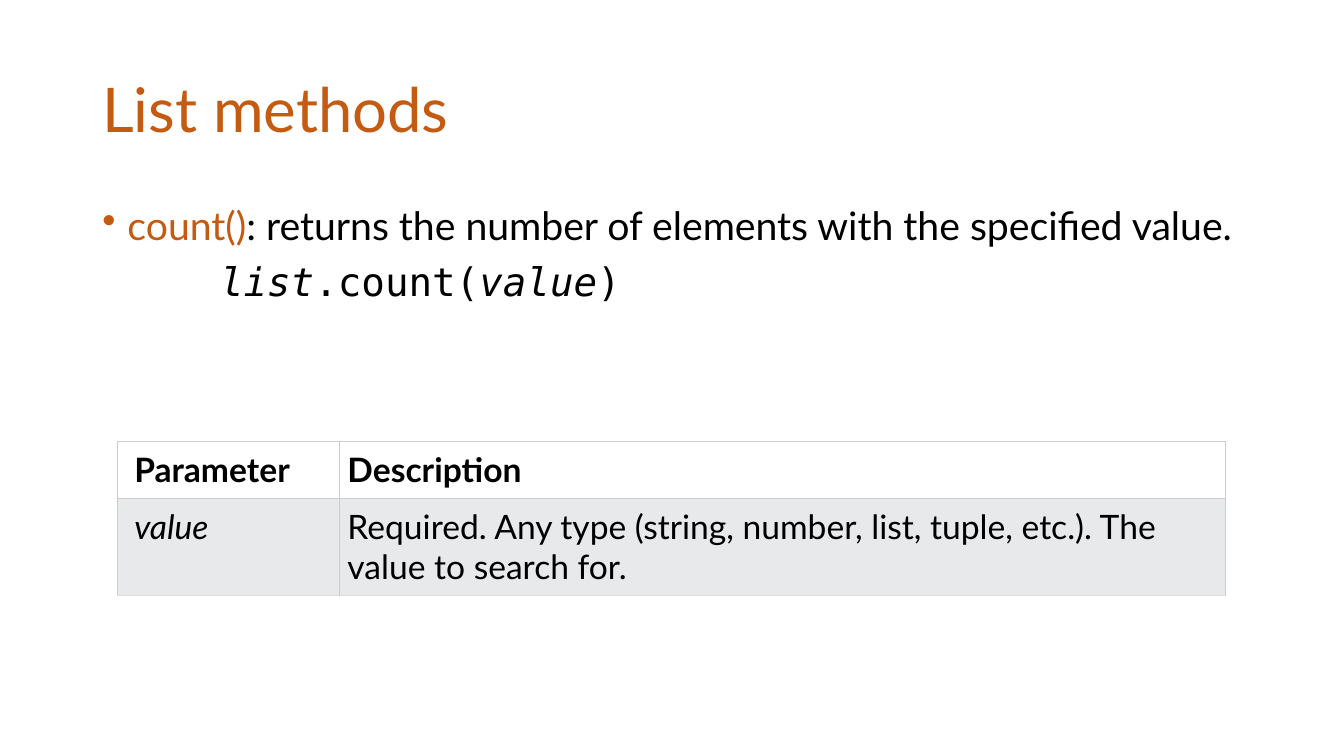
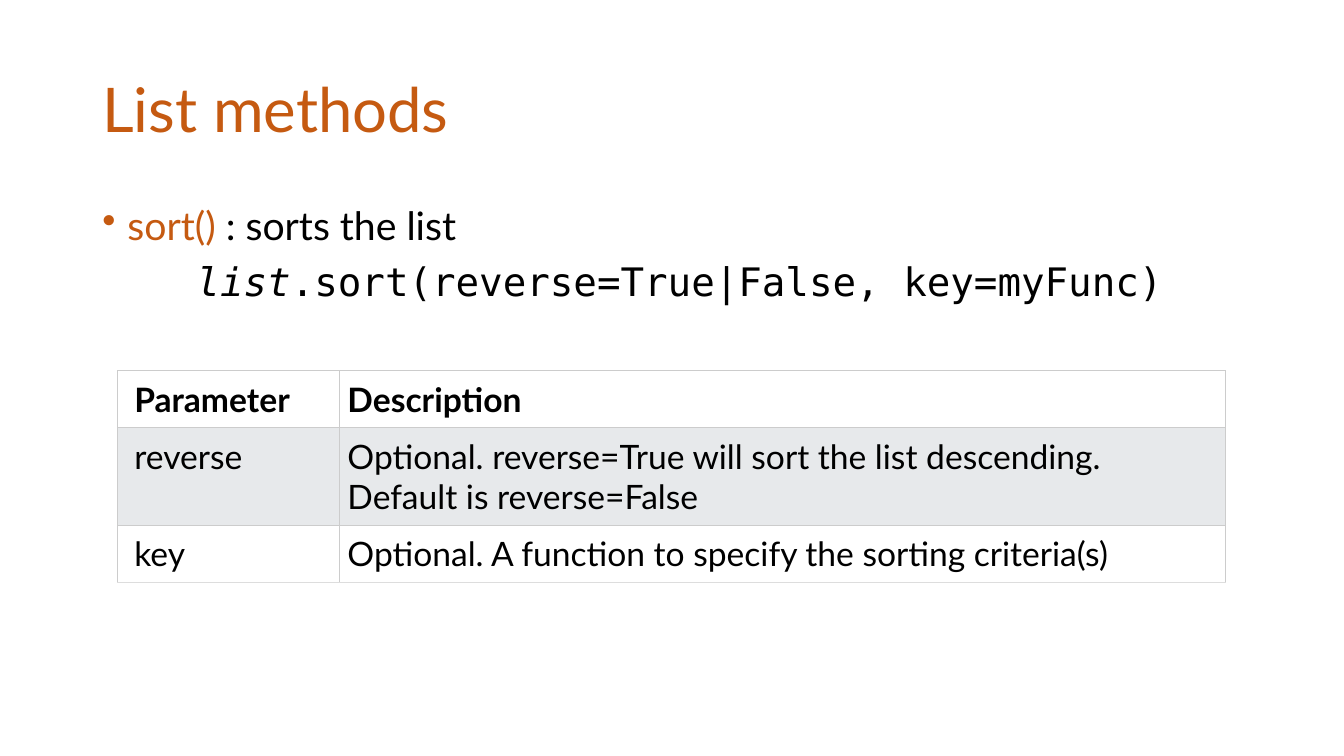
from lxml import etree
from pptx import Presentation
from pptx.dml.color import RGBColor
from pptx.enum.text import MSO_ANCHOR
from pptx.oxml.ns import qn
from pptx.util import Emu, Pt

MIDDLE, TOP = MSO_ANCHOR.MIDDLE, MSO_ANCHOR.TOP
PX = 9525  # EMU per px, 96 px to the inch
SLIDE_SIZE = (1280, 720)

TEXT_FONT, CODE_FONT = "Lato", "DejaVu Sans Mono"
ACCENT, BLACK, WHITE, BAND = "C55A11", "000000", "FFFFFF", "E7E9EB"
GRID, GRID_END = "CCCCCC", "DDDDDD"
TITLE_SIZE, BODY_SIZE, TABLE_SIZE = 44, 28, 24

TITLE = "List methods"
TITLE_BOX = (88, 38, 1104, 139)
BODY_BOX = (88, 192, 1104, 457)
BULLET_INDENT = 24
TABLE_LEFT = 112
COLUMN_WIDTHS = (211, 844)
CELL_MARGIN, FIRST_COLUMN_MARGIN = 8, 16
TABLE_LINE = 38
HEADER = ("Parameter", "Description")

# Code is a list of (text, italic); a parameter is (name, italic, description, lines).
SLIDES = [
    {
        "method": "count()",
        "meaning": ": returns the number of elements with the specified value.",
        "code": [("     list", True), (".count(", False), ("value", True), (")", False)],
        "table_top": 420,
        "parameters": [
            ("value", True, "Required. Any type (string, number, list, tuple, etc.). "
             "The value to search for.", 2),
        ],
    },
    {
        "method": "sort() ",
        "meaning": ": sorts the list",
        "code": [("    list", True), (".sort(reverse=True|False, key=myFunc)", False)],
        "table_top": 353,
        "parameters": [
            ("reverse", False, "Optional. reverse=True will sort the list descending. "
             "Default is reverse=False", 2),
            ("key", False, "Optional. A function to specify the sorting criteria(s)", 1),
        ],
    },
]


def px(length):
    return Emu(length * PX)


def color(value):
    return RGBColor.from_string(value)


def add_run(paragraph, text, size, fill=BLACK, font=TEXT_FONT, bold=False, italic=False):
    run = paragraph.add_run()
    run.text = text
    run.font.name = font
    run.font.size = Pt(size)
    run.font.bold = bold
    run.font.italic = italic
    run.font.color.rgb = color(fill)


def add_text_frame(slide, box, anchor):
    text_frame = slide.shapes.add_textbox(*map(px, box)).text_frame
    text_frame.word_wrap = True
    text_frame.vertical_anchor = anchor
    return text_frame


def add_title(slide):
    paragraph = add_text_frame(slide, TITLE_BOX, MIDDLE).paragraphs[0]
    paragraph.line_spacing = 0.9
    add_run(paragraph, TITLE, TITLE_SIZE, ACCENT)


def set_bullet(paragraph):
    properties = paragraph._p.get_or_add_pPr()
    properties.set("marL", str(px(BULLET_INDENT)))
    properties.set("indent", str(-px(BULLET_INDENT)))
    etree.SubElement(properties, qn("a:buChar")).set("char", "•")


def add_body(slide, content):
    text_frame = add_text_frame(slide, BODY_BOX, TOP)
    summary, code = text_frame.paragraphs[0], text_frame.add_paragraph()
    summary.line_spacing = code.line_spacing = 0.9
    code.space_before = Pt(10)
    set_bullet(summary)
    add_run(summary, content["method"], BODY_SIZE, ACCENT)
    add_run(summary, content["meaning"], BODY_SIZE)
    for text, italic in content["code"]:
        add_run(code, text, BODY_SIZE, font=CODE_FONT, italic=italic)


def set_borders(cell, bottom):
    """Draw the four cell borders; call before the fill, which must follow them."""
    properties = cell._tc.get_or_add_tcPr()
    for side, value in (("L", GRID), ("R", GRID), ("T", GRID), ("B", bottom)):
        line = etree.SubElement(properties, qn("a:ln" + side), w=str(Pt(0.75)))
        fill = etree.SubElement(line, qn("a:solidFill"))
        etree.SubElement(fill, qn("a:srgbClr"), val=value)


def add_parameter_table(slide, top, parameters):
    rows = [(HEADER[0], False, HEADER[1], 1)] + parameters
    heights = [lines * TABLE_LINE + 2 * CELL_MARGIN for *_, lines in rows]
    table = slide.shapes.add_table(
        len(rows), len(COLUMN_WIDTHS), px(TABLE_LEFT), px(top),
        px(sum(COLUMN_WIDTHS)), px(sum(heights))).table
    table.first_row = table.horz_banding = False
    for column, width in zip(table.columns, COLUMN_WIDTHS):
        column.width = px(width)
    for index, (name, name_italic, description, _) in enumerate(rows):
        table.rows[index].height = px(heights[index])
        bottom = GRID_END if index == len(rows) - 1 else GRID
        for column, (text, italic) in enumerate(((name, name_italic), (description, False))):
            cell = table.cell(index, column)
            cell.margin_left = px(CELL_MARGIN if column else FIRST_COLUMN_MARGIN)
            cell.margin_top = cell.margin_right = cell.margin_bottom = px(CELL_MARGIN)
            set_borders(cell, bottom)
            cell.fill.solid()
            cell.fill.fore_color.rgb = color(BAND if index % 2 else WHITE)
            add_run(cell.text_frame.paragraphs[0], text, TABLE_SIZE,
                    bold=index == 0, italic=italic)


def main():
    presentation = Presentation()
    presentation.slide_width, presentation.slide_height = map(px, SLIDE_SIZE)
    blank = presentation.slide_layouts[6]
    for content in SLIDES:
        slide = presentation.slides.add_slide(blank)
        add_title(slide)
        add_body(slide, content)
        add_parameter_table(slide, content["table_top"], content["parameters"])
    presentation.save("out.pptx")


if __name__ == "__main__":
    main()
